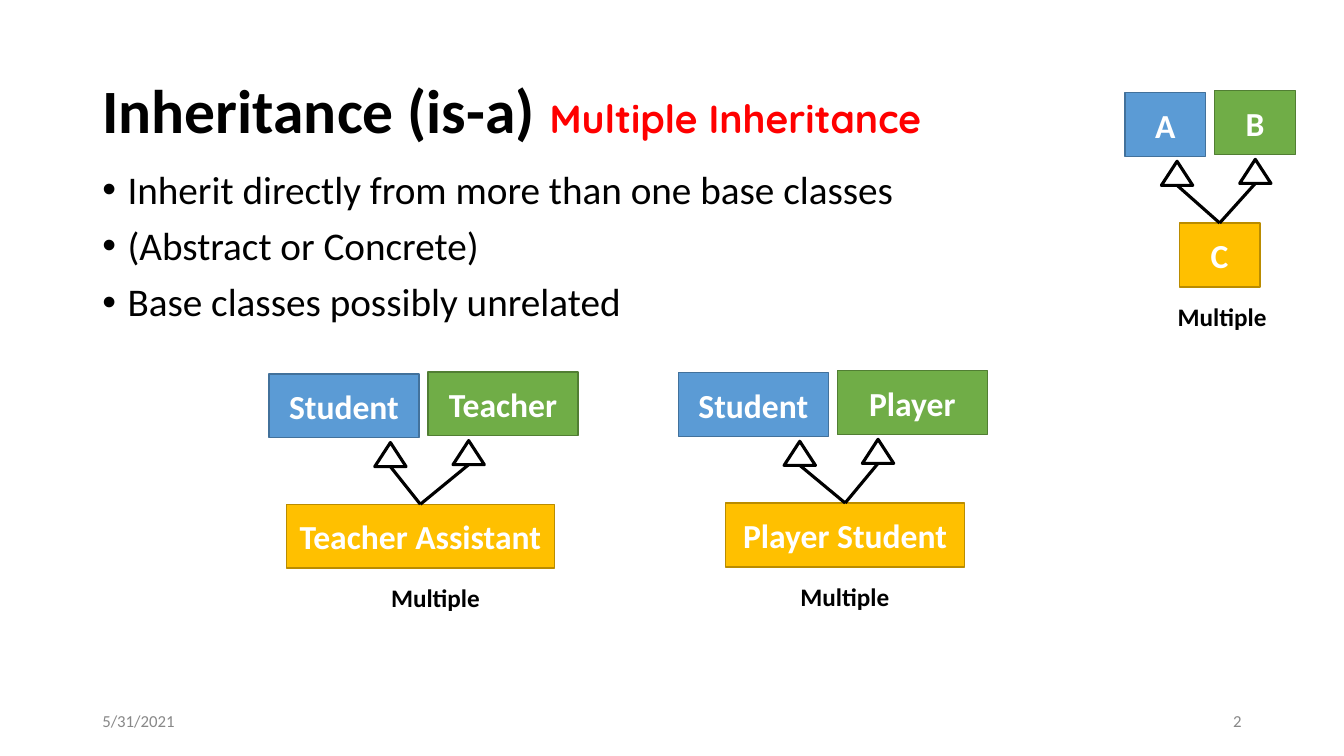
import pptx
import pptx.dml.color
import pptx.enum.shapes
import pptx.enum.text
import pptx.oxml
import pptx.oxml.ns
import pptx.util

Pt = pptx.util.Pt
SHAPE = pptx.enum.shapes.MSO_SHAPE
ALIGN = pptx.enum.text.PP_ALIGN
ANCHOR = pptx.enum.text.MSO_ANCHOR

TITLE = [("Inheritance (is-a) ", 44, "Calibri", "000000"),
         ("Multiple Inheritance", 28, "Quicksand", "FF0000")]
POINTS = ["Inherit directly from more than one base classes",
          "(Abstract or Concrete)",
          "Base classes possibly unrelated"]
FOOTERS = [("5/31/2021", 66, ALIGN.LEFT), ("2", 678, ALIGN.RIGHT)]

# Each diagram: two bases, derived class, seam (right edge of first base),
# top, base width, derived left, derived width
DIAGRAMS = [
    ("A", "B", "C", 861.1, 64.8, 57.6, 842.4, 57.6),
    ("Student", "Teacher", "Teacher Assistant", 299.2, 265.7, 107, 204.5, 191.5),
    ("Student", "Player", "Player Student", 591.6, 264.8, 107, 518.4, 170.6),
]
CAPTION = "Multiple"
BLUE, GREEN, GOLD = ("5B9BD5", "42719B"), ("70AD47", "517E33"), ("FFC000", "BA8C00")
BOX_HEIGHT, BASE_GAP, STAGGER = 45.6, 6.6, 1.4
HEAD_WIDTH, HEAD_HEIGHT = 22.4, 17.2
HEAD_DROP, DERIVED_DROP, CAPTION_DROP = 49, 94.5, 146.6


def color(hex_value):
    return pptx.dml.color.RGBColor.from_string(hex_value)


def format_font(font, size, hex_value, bold=False, name="Calibri"):
    font.size, font.bold, font.name = Pt(size), bold, name
    font.color.rgb = color(hex_value)


def add_text(shapes, text, left, top, width, height, size, hex_value,
             align=ALIGN.LEFT, bold=False):
    box = shapes.add_textbox(Pt(left), Pt(top), Pt(width), Pt(height))
    frame = box.text_frame
    frame.word_wrap = True
    frame.text = text
    for paragraph in frame.paragraphs:
        paragraph.alignment = align
        for run in paragraph.runs:
            format_font(run.font, size, hex_value, bold)
    return frame


def add_outlined(shapes, kind, left, top, width, height, fill, line, weight):
    shape = shapes.add_shape(kind, Pt(left), Pt(top), Pt(width), Pt(height))
    shape.shadow.inherit = False
    shape.fill.solid()
    shape.fill.fore_color.rgb = color(fill)
    shape.line.color.rgb = color(line)
    shape.line.width = Pt(weight)
    return shape


def add_class(shapes, name, left, top, width, colors):
    box = add_outlined(shapes, SHAPE.RECTANGLE, left, top, width, BOX_HEIGHT, *colors, 1)
    frame = box.text_frame
    frame.text = name
    frame.vertical_anchor = ANCHOR.MIDDLE
    frame.paragraphs[0].alignment = ALIGN.CENTER
    format_font(frame.paragraphs[0].runs[0].font, 24, "FFFFFF", True)
    return box


def add_inheritance(shapes, derived, left, top):
    """Hollow arrowhead below a base, with a line to the derived class."""
    add_outlined(shapes, SHAPE.ISOSCELES_TRIANGLE, left, top,
                 HEAD_WIDTH, HEAD_HEIGHT, "FFFFFF", "000000", 2.25)
    x, y = Pt(left + HEAD_WIDTH / 2), Pt(top + HEAD_HEIGHT)
    line = shapes.add_connector(pptx.enum.shapes.MSO_CONNECTOR.STRAIGHT,
                                x, y, derived.left + derived.width // 2, derived.top)
    line.end_connect(derived, 0)
    line.line.color.rgb = color("000000")
    line.line.width = Pt(2.25)
    pptx.oxml.ns  # namespace helpers
    line._element.spPr.append(pptx.oxml.parse_xml(
        "<a:effectLst %s/>" % pptx.oxml.ns.nsdecls("a")))


def add_diagram(slide, first, second, derived_name, seam, top, base_width,
                derived_left, derived_width):
    shapes = slide.shapes.add_group_shape().shapes
    add_class(shapes, first, seam - base_width, top + STAGGER, base_width, BLUE)
    add_class(shapes, second, seam + BASE_GAP, top, base_width, GREEN)
    derived = add_class(shapes, derived_name, derived_left, top + DERIVED_DROP,
                        derived_width, GOLD)
    add_inheritance(shapes, derived, seam - 31.5, top + HEAD_DROP + STAGGER)
    add_inheritance(shapes, derived, seam + 24.4, top + HEAD_DROP)
    caption = add_text(shapes, CAPTION, seam - 27.4, top + CAPTION_DROP, 78.5, 29,
                       18, "000000", ALIGN.CENTER, True)
    caption.word_wrap = False


def add_title(slide):
    title = slide.shapes.title
    title.left, title.top, title.width, title.height = Pt(66), Pt(28.8), Pt(828), Pt(104.4)
    title.text_frame.vertical_anchor = ANCHOR.MIDDLE
    paragraph = title.text_frame.paragraphs[0]
    paragraph.alignment = ALIGN.LEFT
    paragraph.line_spacing = 0.9
    for text, size, name, hex_value in TITLE:
        run = paragraph.add_run()
        run.text = text
        format_font(run.font, size, hex_value, True, name)


def add_points(slide):
    frame = add_text(slide.shapes, "\n".join(POINTS), 66, 118, 783, 343, 28, "000000")
    for index, paragraph in enumerate(frame.paragraphs):
        paragraph.line_spacing = 0.9
        if index:
            paragraph.space_before = Pt(10)
        properties = paragraph._p.get_or_add_pPr()
        properties.set("marL", str(Pt(18)))
        properties.set("indent", str(-Pt(18)))
        for tag in ('buFont %s typeface="Arial"', 'buChar %s char="•"'):
            properties.append(pptx.oxml.parse_xml(
                "<a:" + tag % pptx.oxml.ns.nsdecls("a") + "/>"))


def main():
    deck = pptx.Presentation()
    deck.slide_width, deck.slide_height = Pt(960), Pt(540)
    slide = deck.slides.add_slide(deck.slide_layouts[5])
    add_title(slide)
    add_points(slide)
    for text, left, align in FOOTERS:
        footer = add_text(slide.shapes, text, left, 500.5, 216, 28.8, 12, "888888", align)
        footer.vertical_anchor = ANCHOR.MIDDLE
    for diagram in DIAGRAMS:
        add_diagram(slide, *diagram)
    deck.save("out.pptx")


if __name__ == "__main__":
    main()
